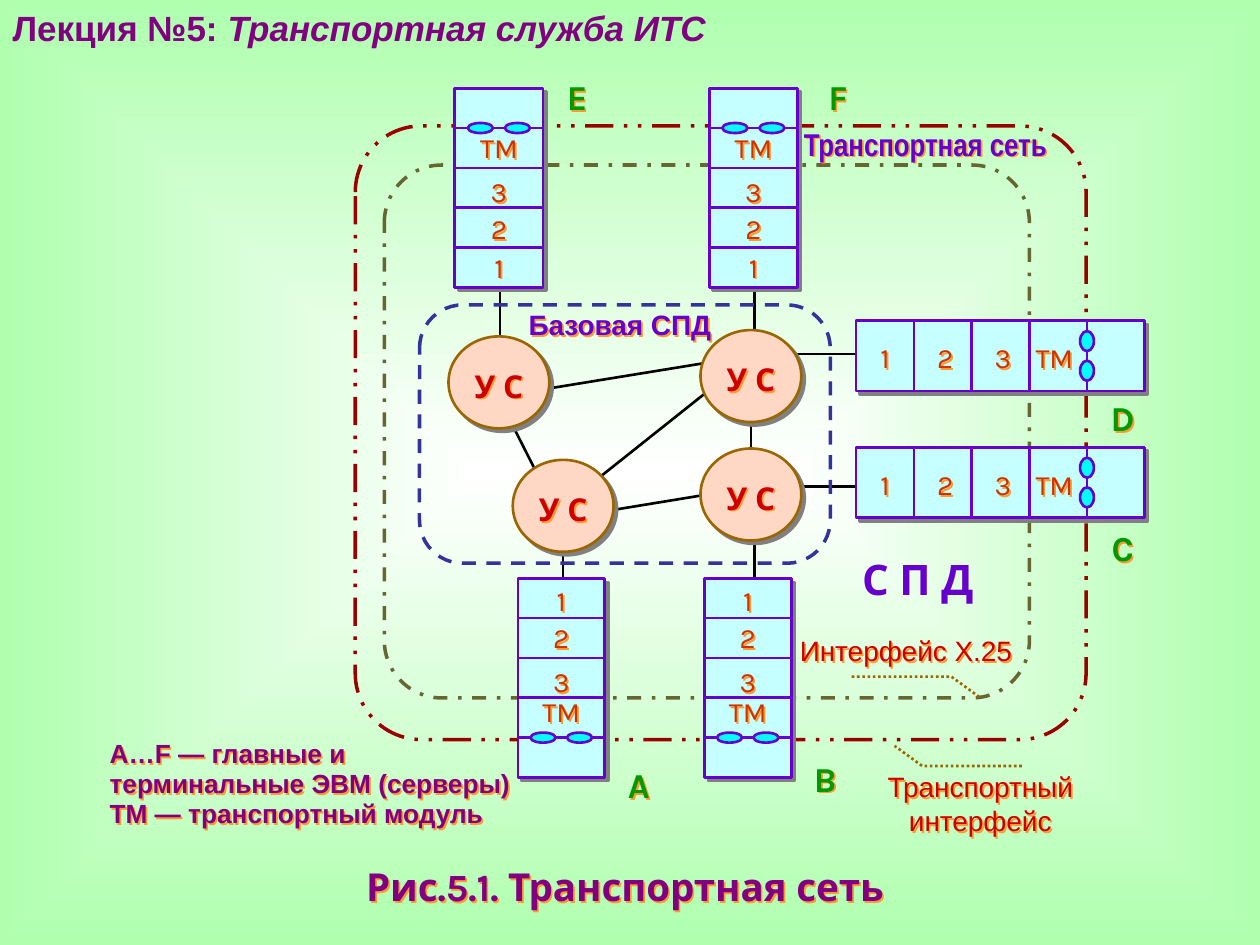
from lxml import etree
from pptx import Presentation
from pptx.dml.color import RGBColor
from pptx.enum.dml import MSO_LINE
from pptx.enum.shapes import MSO_CONNECTOR, MSO_SHAPE
from pptx.enum.text import MSO_ANCHOR, MSO_AUTO_SIZE, PP_ALIGN
from pptx.oxml.ns import qn
from pptx.util import Inches, Pt

LEFT, MID = PP_ALIGN.LEFT, PP_ALIGN.CENTER
RECT, OVAL, ROUND = MSO_SHAPE.RECTANGLE, MSO_SHAPE.OVAL, MSO_SHAPE.ROUNDED_RECTANGLE
DASH, DOT = MSO_LINE.DASH, MSO_LINE.ROUND_DOT
DASHDOT, LONGDOT = MSO_LINE.DASH_DOT, MSO_LINE.DASH_DOT_DOT

HEX = {
    "white": "FFFFFF", "mint": "AFFFAF", "plum": "800080", "violet": "6600CC",
    "black": "000000", "olive": "666633", "wine": "990000", "navy": "333399",
    "peach": "FFD8C5", "brown": "996600", "ice": "C5FFFF", "aqua": "00FFFA",
    "red": "CC0000", "rust": "CC3300", "green": "009900",
    "grey": "808080", "glow": "FF9933",
}
# Text styles: colour name and font values
STYLE = {
    "head": ("plum", dict(size=Pt(20), name="Arial", bold=True)),
    "fig": ("plum", dict(size=Pt(22), name="Karla", bold=True)),
    "zone": ("violet", dict(size=Pt(24), name="Karla", bold=True)),
    "base": ("violet", dict(size=Pt(16), name="Arial", bold=True)),
    "net": ("violet", dict(size=Pt(18), name="Arial Narrow", bold=True)),
    "node": ("red", dict(size=Pt(18), name="Karla", bold=True)),
    "host": ("green", dict(size=Pt(20), name="Karla", bold=True)),
    "layer": ("rust", dict(size=Pt(16), name="Karla", bold=False)),
    "note": ("red", dict(size=Pt(16), name="Arial", bold=False)),
    "key": ("plum", dict(size=Pt(15), name="Arial", bold=True)),
}

# The slide is a grid of 100 columns by 75 square rows
COLS, ROWS = 100, 75
CELL = Inches(10) / COLS


def grid(*nums):
    return [round(n * CELL) for n in nums]


def rgb(name):
    return RGBColor.from_string(HEX[name])


def shade(part, name=None, dist=2.8):
    """Replace the theme shadow by none, or by one of the named colour."""
    props = part._element.spPr
    for old in props.findall(qn("a:effectLst")):
        props.remove(old)
    box = etree.SubElement(props, qn("a:effectLst"))
    if name:
        drop = etree.SubElement(box, qn("a:outerShdw"), dist=str(Pt(dist)),
                                dir="2700000", algn="ctr", rotWithShape="0")
        etree.SubElement(drop, qn("a:srgbClr"), val=HEX[name])


def stroke(part, color, width=1.5, dash=None):
    part.line.color.rgb = rgb(color)
    part.line.width = Pt(width)
    if dash:
        part.line.dash_style = dash


def shape(slide, kind, box, line, fill=None, drop=None, width=1.5, dash=None):
    part = slide.shapes.add_shape(kind, *grid(*box))
    if fill:
        part.fill.solid()
        part.fill.fore_color.rgb = rgb(fill)
    else:
        part.fill.background()
    stroke(part, line, width, dash)
    shade(part, drop)
    return part


def wire(slide, ends, color="black"):
    part = slide.shapes.add_connector(MSO_CONNECTOR.STRAIGHT, *grid(*ends))
    stroke(part, color)
    shade(part)


def write(frame, lines, style, align=MID, space=1.0):
    """Fill a text frame; each line is a list of (text, italic) runs."""
    setup = dict(margin_left=0, margin_right=0, margin_top=0, margin_bottom=0,
                 word_wrap=True, auto_size=MSO_AUTO_SIZE.NONE,
                 vertical_anchor=MSO_ANCHOR.TOP)
    for key, val in setup.items():
        setattr(frame, key, val)
    color, look = STYLE[style]
    for i, line in enumerate(lines):
        para = frame.paragraphs[0] if i == 0 else frame.add_paragraph()
        para.alignment, para.line_spacing = align, space
        para.space_before = Pt(0)
        for text, slant in line:
            run = para.add_run()
            run.text = text
            for key, val in {**look, "italic": slant}.items():
                setattr(run.font, key, val)
            run.font.color.rgb = rgb(color)


def label(slide, box, text, style, align=MID, space=1.0, glow="glow"):
    part = slide.shapes.add_textbox(*grid(*box))
    lines = [[(line, False)] for line in text.split("\n")]
    write(part.text_frame, lines, style, align, space)
    shade(part, glow, 1.4)


def backdrop(slide):
    fill = slide.background.fill
    fill.gradient()
    for stop, name in zip(fill.gradient_stops, ("white", "mint")):
        stop.color.rgb = rgb(name)
    grad = slide._element.find(".//" + qn("a:gradFill"))
    grad.remove(grad.find(qn("a:lin")))
    way = etree.SubElement(grad, qn("a:path"), {"path": "shape"})
    etree.SubElement(way, qn("a:fillToRect"),
                     {side: "50000" for side in "ltrb"})


def header(slide, box):
    title = slide.shapes.title
    for key, val in zip(("left", "top", "width", "height"), grid(*box)):
        setattr(title, key, val)
    runs = [("Лекция №5: ", False), ("Транспортная служба ИТС", True)]
    write(title.text_frame, [runs], "head", LEFT)


def ring(slide, box, bend, color, dash):
    part = shape(slide, ROUND, box, color, width=2, dash=dash)
    part.adjustments[0] = bend


def node(slide, box):
    x, y, w, h = box
    shape(slide, OVAL, box, "brown", "peach", "grey")
    label(slide, (x + 0.8, y + 2.4, w - 1.6, 3), "У С", "node")


def host(slide, box, names, shifts):
    """Five equal cells along the long side; names has one text per cell."""
    x, y, w, h = box
    tall = h > w
    step = max(w, h) / len(names)
    shape(slide, RECT, box, "violet", "ice", "grey")
    for k in range(1, len(names)):
        d = k * step
        wire(slide, (x, y + d, x + w, y + d) if tall
             else (x + d, y, x + d, y + h), "violet")
    # Two ports sit on the border of the empty cell
    edge = step * (1 if names[0] == "" else len(names) - 1)
    for share in (0.29, 0.71):
        if tall:
            port = (x + share * w - 1, y + edge - 0.4, 2, 0.8)
        else:
            port = (x + edge - 0.55, y + share * h - 0.8, 1.1, 1.6)
        shape(slide, OVAL, port, "violet", "aqua")
    for k, (name, shift) in enumerate(zip(names, shifts)):
        if name:
            d = (k + 0.5) * step + shift
            cx, cy = (x + w / 2, y + d) if tall else (x + d, y + h / 2 + 0.15)
            label(slide, (cx - 2.2, cy - 1.35, 4.4, 2.7), name, "layer")


def leader(slide, points):
    start, *rest = [grid(*p) for p in points]
    pen = slide.shapes.build_freeform(*start)
    pen.add_line_segments(rest, close=False)
    part = pen.convert_to_shape()
    part.fill.background()
    stroke(part, "brown", dash=DOT)
    shade(part)


def network(slide):
    # Links between nodes and hosts
    for ends in ((44.7, 43.8, 44.7, 46.2), (59.9, 22.7, 59.9, 27.7),
                 (39.7, 22.7, 39.7, 28.3), (59.9, 41.4, 59.9, 46.9),
                 (63.2, 38.6, 68.3, 38.6), (60.3, 28.1, 68.2, 28.1),
                 (43.6, 41.3, 60.7, 38.5), (40.2, 32.8, 44.1, 40.5),
                 (45.3, 39.7, 58.5, 29.2), (59.6, 37.7, 59.6, 30),
                 (41.3, 31.2, 58.5, 28.4)):
        wire(slide, ends)
    # Network borders
    ring(slide, (30.5, 13.1, 51.2, 42.3), 0.108, "olive", DASHDOT)
    ring(slide, (28.2, 10, 58, 48.7), 0.108, "wine", LONGDOT)
    ring(slide, (33.3, 24.2, 32.6, 20.5), 0.167, "navy", DASH)
    # Switching nodes
    for x, y in ((35.6, 26.7), (40.7, 36.5), (55.6, 35.6), (55.6, 26.2)):
        node(slide, (x, y, 8, 7.3))
    # Hosts
    out = ["1", "2", "3", "TM", ""]
    for x in (36.1, 56.3):
        host(slide, (x, 7, 7, 15.8), out[::-1], (0, 0, 0.3, 0.1, 0))
    for x in (41.1, 55.9):
        host(slide, (x, 45.9, 6.9, 15.8), out, (0.2, 0, 0.3, -0.5, 0))
    for y in (25.45, 35.5):
        host(slide, (67.95, y, 22.9, 5.6), out, (0, 0.2, 0.2, -0.3, 0))
    for name, x, y in (("A", 49, 60.6), ("B", 63.8, 60.1), ("C", 87.4, 41.8),
                       ("D", 87.4, 31.5), ("E", 44.1, 6), ("F", 64.8, 6)):
        label(slide, (x, y, 3.4, 3), name, "host")


def notes(slide):
    label(slide, (67.7, 43.9, 10.3, 4.9), "С П Д", "zone", glow=None)
    label(slide, (41.1, 24.7, 16.2, 3), "Базовая СПД", "base", space=0.9)
    label(slide, (63.8, 9.9, 25.6, 3.3), "Транспортная сеть", "net", LEFT)
    label(slide, (63.3, 50.3, 17.2, 3.5), "Интерфейс Х.25", "note")
    label(slide, (70.2, 61.1, 15.2, 5.3), "Транспортный\nинтерфейс", "note")
    leader(slide, ((67.6, 53.7), (75.5, 53.7), (77.7, 55.3)))
    leader(slide, ((81.1, 60.8), (73.2, 60.8), (71, 59.2)))
    label(slide, (8.7, 58.7, 32, 7.9),
          "A…F — главные и терминальные ЭВМ (серверы)\n"
          "ТМ — транспортный модуль", "key", LEFT, 0.95)
    label(slide, (10.2, 68.5, 78.8, 4.2), "Рис.5.1. Транспортная сеть", "fig")


def main():
    deck = Presentation()
    deck.slide_width, deck.slide_height = grid(COLS, ROWS)
    slide = deck.slides.add_slide(deck.slide_layouts[5])
    backdrop(slide)
    header(slide, (1, 0.5, 88.3, 3.3))
    network(slide)
    notes(slide)
    deck.save("out.pptx")


if __name__ == "__main__":
    main()
